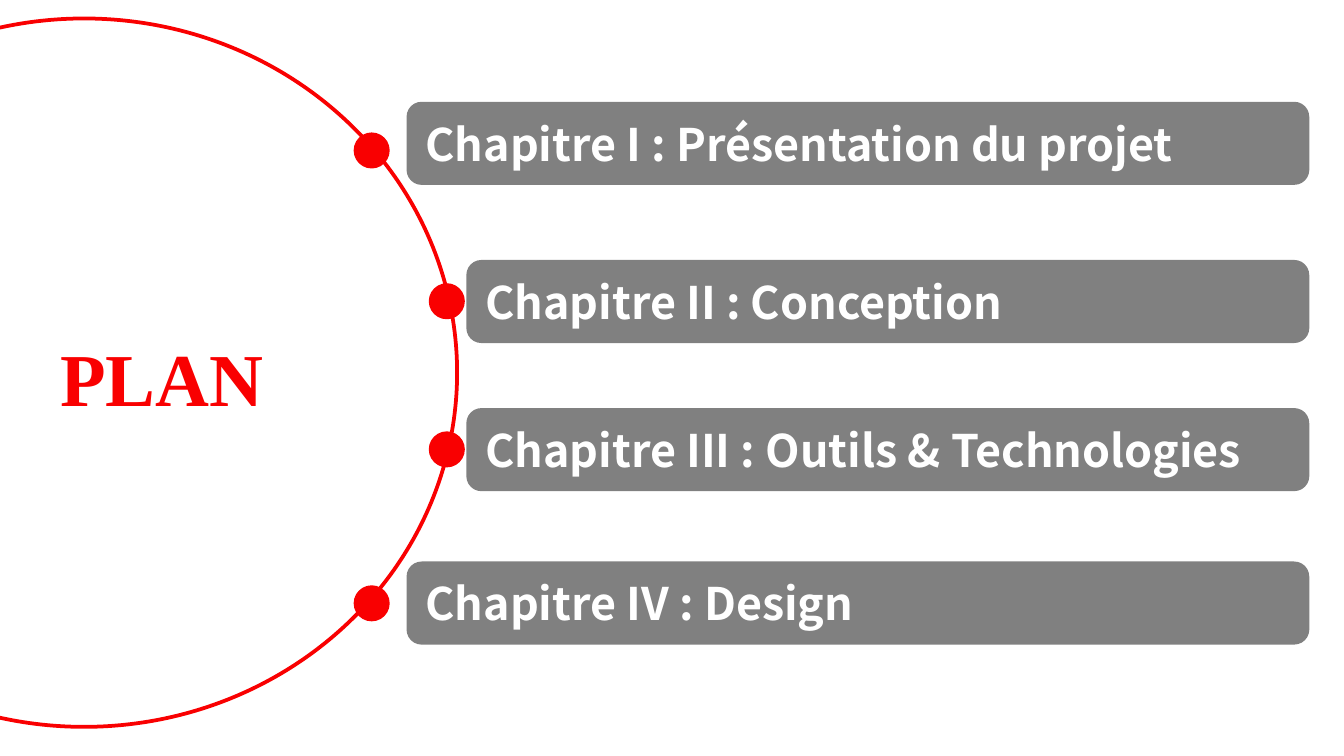
from pptx import Presentation
from pptx.dml.color import RGBColor
from pptx.enum.shapes import MSO_SHAPE as Shape
from pptx.enum.text import MSO_ANCHOR as Anchor, PP_ALIGN as Align
from pptx.util import Cm, Pt

RED = RGBColor(0xF9, 0x00, 0x01)
GREY = RGBColor(0x80, 0x80, 0x80)
WHITE = RGBColor(0xFF, 0xFF, 0xFF)

# Content: chapter, bar left, bar top, dot left, dot top (cm)
TITLE = "PLAN"
CHAPTERS = [
    ("Chapitre I : Présentation du projet", 7.72, 1.96, 6.72, 2.54),
    ("Chapitre II : Conception", 8.85, 4.95, 8.14, 5.39),
    ("Chapitre III : Outils & Technologies", 8.85, 7.75, 8.14, 8.19),
    ("Chapitre IV : Design", 7.72, 10.65, 6.72, 11.1),
]
BAR_RIGHT, BAR_HEIGHT, DOT_SIZE = 24.71, 1.5, 0.61

deck = Presentation()
deck.slide_width, deck.slide_height = Cm(25.4), Cm(14.29)
slide = deck.slides.add_slide(deck.slide_layouts[6])


def add_shape(kind, left, top, width, height, color, filled=True):
    shape = slide.shapes.add_shape(kind, Cm(left), Cm(top), Cm(width), Cm(height))
    shape.shadow.inherit = False
    if filled:
        shape.fill.solid()
        shape.fill.fore_color.rgb = color
    else:
        shape.fill.background()
    shape.line.color.rgb = color
    shape.line.width = Pt(2)
    return shape


def write(frame, text, font_name, size, color, align):
    paragraph = frame.paragraphs[0]
    paragraph.text = text
    paragraph.alignment = align
    font = paragraph.font
    font.name, font.size, font.bold = font_name, Pt(size), True
    font.color.rgb = color


# Large circle running off the left edge
add_shape(Shape.OVAL, -5.46, 0.35, 14.1, 13.39, RED, filled=False)

# Chapter bars
for chapter, left, top, _, _ in CHAPTERS:
    bar = add_shape(Shape.ROUNDED_RECTANGLE, left, top, BAR_RIGHT - left, BAR_HEIGHT, GREY)
    bar.text_frame.vertical_anchor = Anchor.MIDDLE
    write(bar.text_frame, chapter, "Noto Sans CJK KR", 24, WHITE, Align.LEFT)

# Title inside the circle
title = slide.shapes.add_textbox(Cm(0.03), Cm(6.15), Cm(6.05), Cm(1.96)).text_frame
title.word_wrap = True
write(title, TITLE, "Times New Roman", 40, RED, Align.CENTER)

# Dots on the circle
for _, _, _, left, top in CHAPTERS:
    add_shape(Shape.OVAL, left, top, DOT_SIZE, DOT_SIZE, RED)

deck.save("out.pptx")
